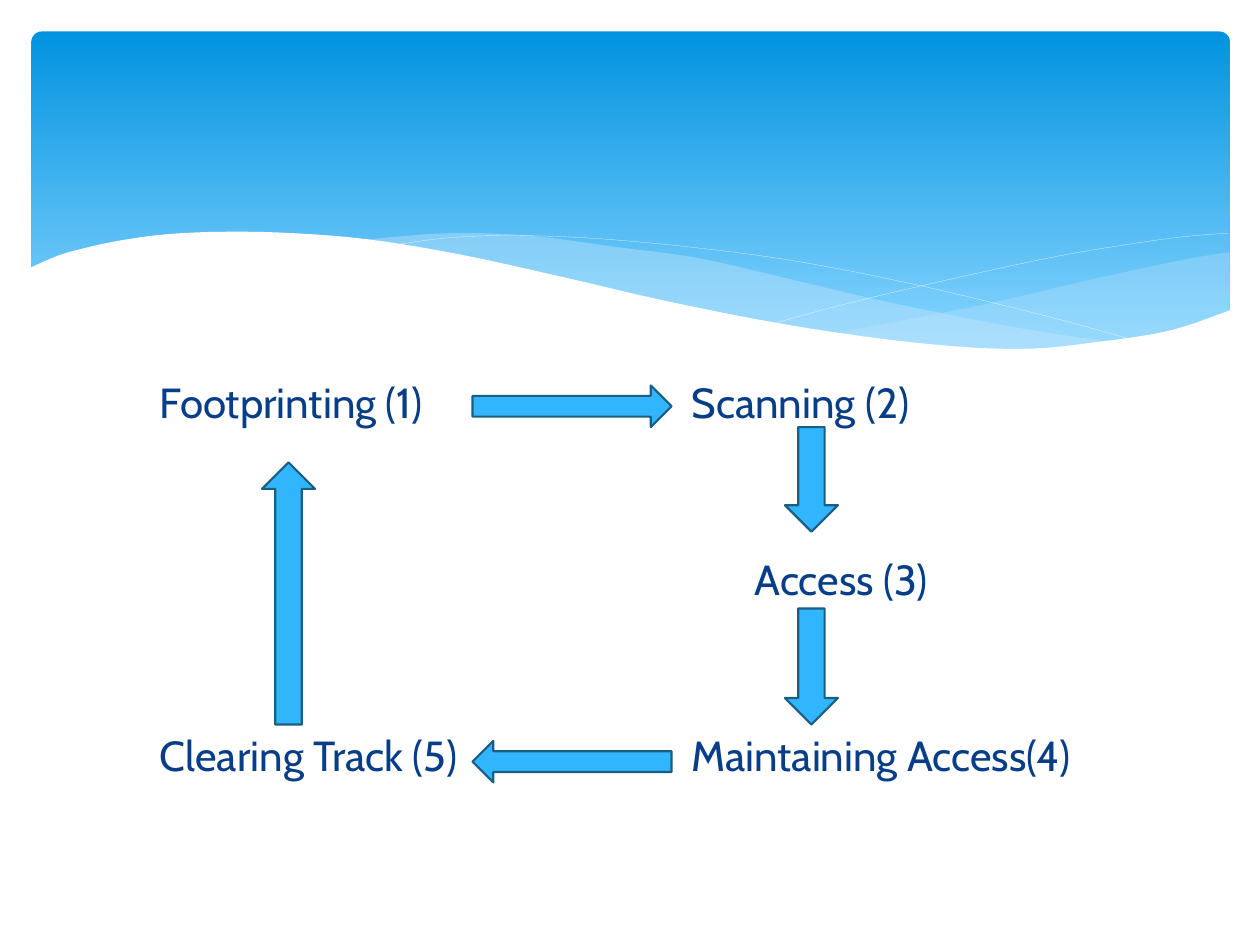
import pptx
import pptx.util
import pptx.dml.color
import pptx.enum.shapes
import pptx.oxml.ns
from lxml import etree

Inches = pptx.util.Inches
Pt = pptx.util.Pt
Kind = pptx.enum.shapes.MSO_SHAPE

HUES = {
    "top": "0293E0",
    "base": "83D3FE",
    "mist": "C6E7FC",
    "white": "FFFFFF",
    "text": "073E87",
    "arrow": "31B6FD",
    "edge": "195F84",
}

RIGHT = [
    [(9.51, 1.75), (9.1, 1.82), (8.36, 1.98), (7.54, 2.17), (6.36, 2.4)],
    [(6.36, 2.4), (6.94, 2.47), (7.56, 2.52), (8.1, 2.52), (8.56, 2.48),
     (9.1, 2.37), (9.51, 2.22)],
]
LEFT = [
    [(8.68, 2.48), (7.82, 2.35), (6.81, 2.15), (6.04, 1.97), (5.3, 1.8),
     (4.64, 1.71), (3.95, 1.62), (3.36, 1.6), (2.88, 1.63), (2.61, 1.66)],
    [(2.61, 1.66), (3.17, 1.74), (3.79, 1.86), (4.66, 2.07), (5.41, 2.23),
     (6.25, 2.39), (6.97, 2.49), (7.6, 2.53), (8.13, 2.53), (8.68, 2.48)],
]
FALL = [[(2.84, 1.7), (3.28, 1.64), (3.76, 1.62), (4.44, 1.64), (5.31, 1.72),
         (6.11, 1.83), (7.02, 2.01), (8.06, 2.26), (8.82, 2.47)]]
RISE = [[(5.88, 2.32), (6.47, 2.16), (7.23, 1.98), (8.11, 1.79), (8.7, 1.69),
         (9.13, 1.63), (9.5, 1.6)]]
FRONT = [
    [(9.52, 2.21), (9.05, 2.37), (8.5, 2.46), (7.84, 2.52), (7.01, 2.47),
     (6.01, 2.33), (5.04, 2.14), (4.22, 1.95), (3.4, 1.77), (2.67, 1.65),
     (2.05, 1.6), (1.52, 1.59), (1.07, 1.61), (0.7, 1.66), (0.42, 1.72),
     (0.21, 1.78), (-0.02, 1.88)],
    [(-0.02, 3.04), (9.52, 3.04)],
]


def hue(name):
    return pptx.dml.color.RGBColor.from_string(HUES[name])


def paint(shape, name, alpha=100):
    shape.fill.solid()
    shape.fill.fore_color.rgb = hue(name)
    if alpha < 100:
        tag = pptx.oxml.ns.qn("a:srgbClr")
        color = next(shape._element.spPr.iter(tag))
        etree.SubElement(color, pptx.oxml.ns.qn("a:alpha"), val=str(alpha * 1000))


def smooth(knots, steps=6):
    if len(knots) < 3:
        return knots
    ends = [knots[0], *knots, knots[-1]]
    points = [knots[0]]
    for a, b, c, d in zip(ends, ends[1:], ends[2:], ends[3:]):
        for step in range(1, steps + 1):
            t = step / steps
            points.append(tuple(
                (2 * q + (r - p) * t + (2 * p - 5 * q + 4 * r - s) * t ** 2
                 + (3 * q - p - 3 * r + s) * t ** 3) / 2
                for p, q, r, s in zip(a, b, c, d)))
    return points


def add_wave(slide, left, top, edges, close=True):
    points = [(Inches(left + x), Inches(top + y))
              for edge in edges for x, y in smooth(edge)]
    form = slide.shapes.build_freeform(*points[0])
    form.add_line_segments(points[1:], close=close)
    shape = form.convert_to_shape()
    shape.shadow.inherit = False
    return shape


def add_head(slide, left, top, width, height):
    panel = slide.shapes.add_shape(
        Kind.ROUNDED_RECTANGLE,
        Inches(left), Inches(top), Inches(width), Inches(height))
    panel.shadow.inherit = False
    panel.adjustments[0] = 0.03
    panel.line.fill.background()
    panel.fill.gradient()
    panel.fill.gradient_angle = 270
    stops = panel.fill.gradient_stops
    for stop, name, place in zip(stops, ("top", "base"), (0, 0.9)):
        stop.color.rgb = hue(name)
        stop.position = place

    for edges, alpha in ((RIGHT, 29), (LEFT, 40)):
        wave = add_wave(slide, left, top, edges)
        paint(wave, "mist", alpha)
        wave.line.fill.background()
    for edges in (FALL, RISE):
        curve = add_wave(slide, left, top, edges, close=False)
        curve.fill.background()
        curve.line.color.rgb = hue("white")
        curve.line.width = Pt(0.1)
    front = add_wave(slide, left, top, FRONT)
    paint(front, "white")
    front.line.fill.background()


def add_label(slide, left, top, text):
    box = slide.shapes.add_textbox(
        Inches(left), Inches(top), Inches(3.3), Inches(0.41))
    frame = box.text_frame
    frame.word_wrap = True
    frame.margin_left = frame.margin_right = 0
    frame.margin_top = frame.margin_bottom = 0
    line = frame.paragraphs[0]
    line.text = text
    line.font.name = "Cabin"
    line.font.size = Pt(24)
    line.font.color.rgb = hue("text")


def add_arrow(slide, kind, left, top, width, height):
    arrow = slide.shapes.add_shape(
        kind, Inches(left), Inches(top), Inches(width), Inches(height))
    arrow.shadow.inherit = False
    paint(arrow, "arrow")
    arrow.line.color.rgb = hue("edge")
    arrow.line.width = Pt(1.25)


def add_cycle(slide, left, top):
    pitch = 1.4
    labels = [
        (0.32, 0, "Footprinting (1)"),
        (4.54, 0, "Scanning (2)"),
        (5.04, 1, "Access (3)"),
        (4.54, 2, "Maintaining Access(4)"),
        (0.32, 2, "Clearing Track (5)"),
    ]
    for x, row, text in labels:
        add_label(slide, left + x, top + 0.06 + row * pitch, text)

    long, thin, wide = 1.58, 0.33, 0.42
    arrows = [
        (Kind.RIGHT_ARROW, 2.8, 0.13, long, thin),
        (Kind.DOWN_ARROW, 5.28, 0.46, wide, 0.83),
        (Kind.DOWN_ARROW, 5.28, 1.9, wide, 0.92),
        (Kind.LEFT_ARROW, 2.8, 2.95, long, thin),
        (Kind.UP_ARROW, 1.13, 0.74, wide, 2.08),
    ]
    for kind, x, y, width, height in arrows:
        add_arrow(slide, kind, left + x, top + y, width, height)


def main():
    deck = pptx.Presentation()
    deck.slide_width = Inches(10)
    deck.slide_height = Inches(7.5)
    slide = deck.slides.add_slide(deck.slide_layouts[6])
    add_head(slide, 0.25, 0.25, 9.51, 2.7)
    add_cycle(slide, 0.95, 2.93)
    deck.save("out.pptx")


if __name__ == "__main__":
    main()
